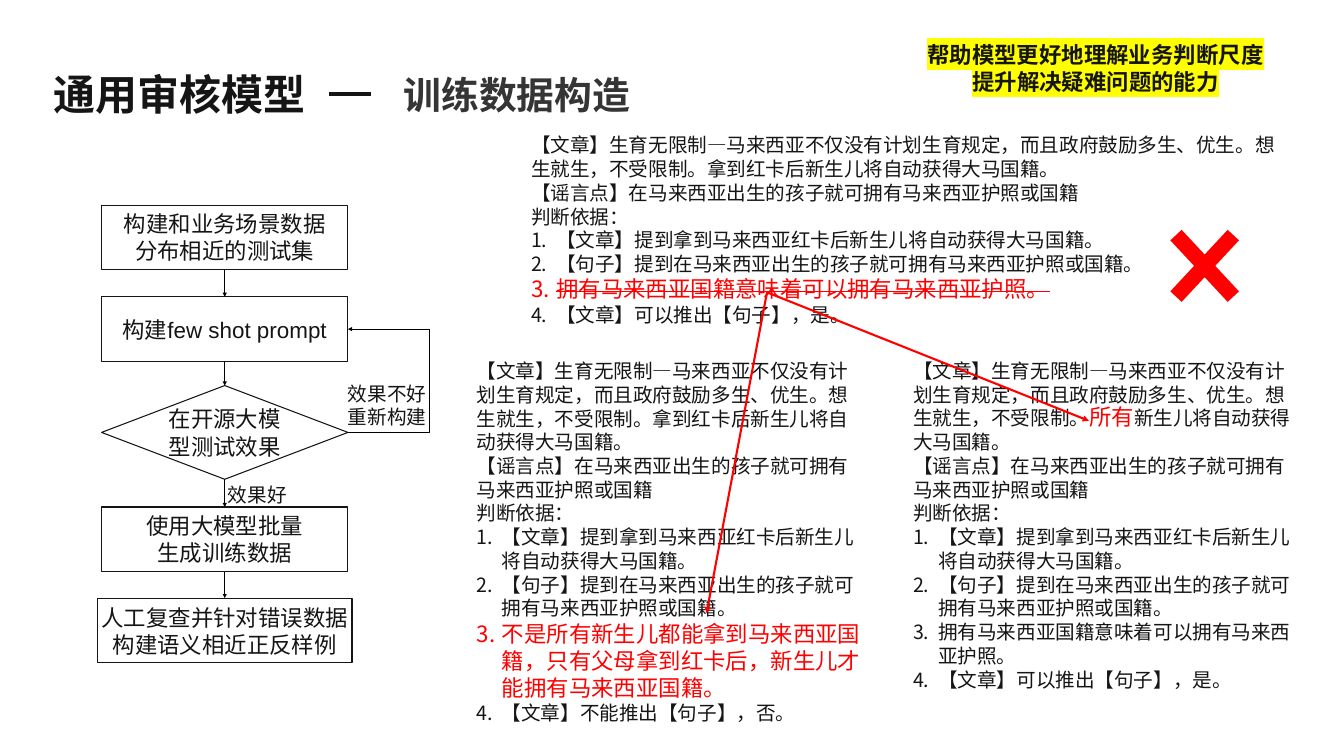
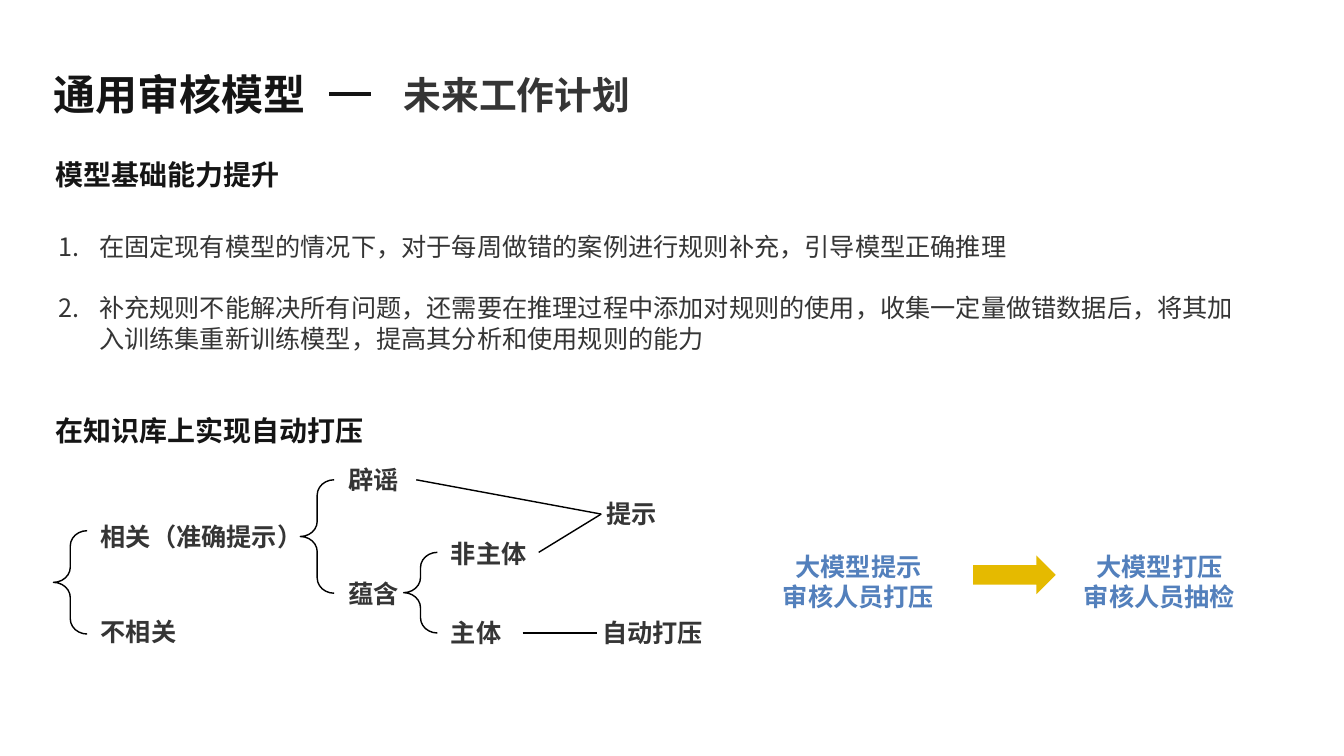
from lxml import etree
from pptx import Presentation
from pptx.dml.color import RGBColor
from pptx.enum import shapes as kinds, text as tx
from pptx.oxml.ns import qn
from pptx.util import Inches, Pt

INK = RGBColor(0x15, 0x15, 0x15)
GREY = RGBColor(0x35, 0x35, 0x35)
BLACK = RGBColor(0, 0, 0)
RED = RGBColor(0xFF, 0, 0)
BLUE = RGBColor(0x53, 0x80, 0xBC)
GOLD = RGBColor(0xE5, 0xBA, 0)
YELLOW = "FFFF00"
CJK_FONT = "Noto Sans CJK SC"
LEADING = 1.21

TITLE = dict(size=60, color=INK, bold=True, font="Arial")
SUBTITLE = dict(TITLE, size=54, color=GREY)
HEADING = dict(TITLE, size=40, font=CJK_FONT)
CALLOUT = dict(TITLE, size=32, highlight=YELLOW)
STEP = dict(size=32, color=INK, bold=False, font="Arial")
BRANCH_NOTE = dict(STEP, size=28)
ARTICLE = dict(BRANCH_NOTE, font="Roboto")
PLAN = dict(size=36, color=GREY, bold=False, font="Roboto")
NODE = dict(PLAN, bold=True)
STAGE = dict(NODE, color=BLUE)
CHANGED = dict(size=32, color=RED)
STRUCK = dict(CHANGED, strike=True)

TIGHT = dict.fromkeys(("left", "top", "right", "bottom"), 0.06)
CENTRED = dict(align=tx.PP_ALIGN.CENTER, anchor=tx.MSO_ANCHOR.MIDDLE, margins=TIGHT)

SECTION = "通用审核模型"
CLAIM = "【文章】生育无限制—马来西亚不仅没有计划生育规定，而且政府鼓励多生、优生。想生就生，不受限制。"
BIRTHRIGHT = "新生儿将自动获得大马国籍。"
RUMOUR = [("【谣言点】", dict(font="Arial")), "在马来西亚出生的孩子就可拥有马来西亚护照或国籍"]
FACTS = [
    "【文章】提到拿到马来西亚红卡后新生儿将自动获得大马国籍。",
    "【句子】提到在马来西亚出生的孩子就可拥有马来西亚护照或国籍。",
]
LEAP = "拥有马来西亚国籍意味着可以拥有马来西亚护照。"
CORRECTION = "不是所有新生儿都能拿到马来西亚国籍，只有父母拿到红卡后，新生儿才能拥有马来西亚国籍。"
FOLLOWS = "【文章】可以推出【句子】，是。"
FAILS = "【文章】不能推出【句子】，否。"
RED_CARD = [CLAIM + "拿到红卡后" + BIRTHRIGHT]

WRONG_ARTICLE = ((10.44, 2.59, 15.08, 3.94), RED_CARD, [(LEAP, STRUCK), FOLLOWS])
FIXED_ARTICLES = [
    ((9.36, 7.07, 7.83, 7.37), RED_CARD, [(CORRECTION, CHANGED), FAILS]),
    ((18.02, 7.07, 7.83, 6.77), [CLAIM, ("所有", CHANGED), BIRTHRIGHT], [LEAP, FOLLOWS]),
]
CROSS = (22.81, 4.1, 2.19, 2.35)
LEAP_POINT = (15.22, 5.8)
CHANGE_POINTS = [(14.02, 12.17), (21.61, 8.35)]

RECT, DIAMOND = kinds.MSO_SHAPE.RECTANGLE, kinds.MSO_SHAPE.DIAMOND
FLOW_CENTRE = 4.46
STEPS = [
    (RECT, 4.07, 4.89, 1.28, ["构建和业务场景数据", "分布相近的测试集"]),
    (RECT, 5.89, 4.89, 1.28, ["构建few shot prompt"]),
    (DIAMOND, 7.65, 4.89, 1.86, ["在开源大模型测试效果"]),
    (RECT, 10.06, 4.89, 1.28, ["使用大模型批量", "生成训练数据"]),
    (RECT, 11.87, 5.05, 1.28, ["人工复查并针对错误数据构建语义相近正反样例"]),
]
BRANCH_NOTES = [
    ((6.84, 7.51, 1.68, 1.05), ["效果不好", "重新构建"]),
    ((4.46, 9.52, 1.29, 0.58), ["效果好"]),
]
RETRY = dict(start=(6.91, 8.59), turn=(8.52, 6.53), back=(6.91, 6.53))

HEADINGS = [((1, 3.08, 5.24, 0.77), "模型基础能力提升"), ((1, 8.15, 6.91, 0.77), "在知识库上实现自动打压")]
PLANS = [
    "在固定现有模型的情况下，对于每周做错的案例进行规则补充，引导模型正确推理",
    "补充规则不能解决所有问题，还需要在推理过程中添加对规则的使用，收集一定量做错数据后，"
    "将其加入训练集重新训练模型，提高其分析和使用规则的能力",
]
NODES = [
    ("相关（准确提示）", 1.9, 10.28, 4.63),
    ("不相关", 1.9, 12.18, 4.22),
    ("辟谣", 6.82, 9.16, 1.44),
    ("蕴含", 6.82, 11.41, 1.44),
    ("非主体", 8.85, 10.63, 1.96),
    ("主体", 8.85, 12.2, 1.52),
    ("提示", 11.93, 9.84, 1.29),
    ("自动打压", 11.85, 12.2, 3.61),
]
NODE_HEIGHT = 0.71
BRACES = [(1.06, 10.53, 2.05), (5.96, 9.52, 2.25), (8.01, 10.96, 1.6)]
BRACE_WIDTH = 0.67
OUTCOMES = [
    ((8.26, 9.52), (11.93, 10.2)),
    ((10.69, 10.96), (11.93, 10.2)),
    ((10.37, 12.56), (11.85, 12.56)),
]
STAGES = [
    ((14.74, 10.58, 4.59, 1.62), ["大模型提示", "审核人员打压"]),
    ((19.74, 10.58, 6.54, 1.62), ["大模型打压", "审核人员抽检"]),
]
STAGE_ARROW = (19.31, 11.02, 1.64, 0.77)


def place(box):
    return [Inches(v) for v in box]


def add_run(paragraph, words, style):
    run = paragraph.add_run()
    run.text = words
    run.font.color.rgb = style["color"]
    props = run.font._element
    if "highlight" in style:
        mark = etree.SubElement(props, qn("a:highlight"))
        etree.SubElement(mark, qn("a:srgbClr")).set("val", style["highlight"])
    if style.get("strike"):
        props.set("strike", "sngStrike")
    for key, value in dict(size=Pt(style["size"]), bold=style["bold"], name=style["font"]).items():
        setattr(run.font, key, value)
    etree.SubElement(props, qn("a:ea")).set("typeface", CJK_FONT)


def write(shape, paragraphs, style, align=None, anchor=tx.MSO_ANCHOR.TOP, margins=None,
          wrap=True, numbered_from=None, indent=0.5, gap=0, first_spacing=1):
    frame = shape.text_frame
    frame.word_wrap = wrap
    frame.vertical_anchor = anchor
    for side, value in (margins or {}).items():
        setattr(frame, f"margin_{side}", Inches(value))
    for i, runs in enumerate(paragraphs):
        paragraph = frame.paragraphs[0] if i == 0 else frame.add_paragraph()
        runs = runs if isinstance(runs, list) else [runs]
        styled = [(r, style) if isinstance(r, str) else (r[0], {**style, **r[1]}) for r in runs]
        spacing = LEADING * (1 if i else first_spacing)
        paragraph.line_spacing = Pt(round(styled[0][1]["size"] * spacing, 1))
        if align is not None:
            paragraph.alignment = align
        if gap and i:
            paragraph.space_before = Pt(gap)
        if numbered_from is not None and i >= numbered_from:
            props = paragraph._p.get_or_add_pPr()
            props.set("marL", str(Inches(indent)))
            props.set("indent", str(-Inches(indent)))
            etree.SubElement(props, qn("a:buAutoNum")).set("type", "arabicPeriod")
        for words, run_style in styled:
            add_run(paragraph, words, run_style)


def add_text(shapes, box, paragraphs, style, **layout):
    write(shapes.add_textbox(*place(box)), paragraphs, style, **layout)


def add_shape(shapes, kind, box, fill=None, line=None, weight=1.5):
    shape = shapes.add_shape(kind, *place(box))
    shape.shadow.inherit = False
    if fill is None:
        shape.fill.background()
    else:
        shape.fill.solid()
        shape.fill.fore_color.rgb = fill
    if line is None:
        shape.line.fill.background()
    else:
        shape.line.color.rgb = line
        shape.line.width = Pt(weight)
    return shape


def add_line(shapes, start, end, color=BLACK, weight=1.5, arrow=False,
             kind=kinds.MSO_CONNECTOR.STRAIGHT):
    line = shapes.add_connector(kind, *place(start + end))
    line.line.color.rgb = color
    line.line.width = Pt(weight)
    if arrow:
        etree.SubElement(line.line._get_or_add_ln(), qn("a:tailEnd")).set("type", "triangle")
    etree.SubElement(line._element.spPr, qn("a:effectLst"))
    return line


def add_titled_slide(deck, subtitle):
    shapes = deck.slides.add_slide(deck.slide_layouts[6]).shapes
    add_text(shapes, (1, 1.38, 7.23, 0.94), [SECTION], TITLE,
             anchor=tx.MSO_ANCHOR.MIDDLE, margins=TIGHT)
    add_text(shapes, (7.91, 1.36, 8.57, 1.01), [subtitle], SUBTITLE)
    add_line(shapes, (6.53, 1.86), (7.37, 1.86), INK, 6)
    return shapes


def add_article(shapes, box, claim, verdict):
    add_text(shapes, box, [claim, RUMOUR, "判断依据："] + FACTS + verdict, ARTICLE, numbered_from=3)


def add_flow(shapes):
    steps = []
    for kind, top, width, height, words in STEPS:
        step = add_shape(shapes, kind, (FLOW_CENTRE - width / 2, top, width, height), line=INK)
        write(step, words, STEP, **CENTRED)
        steps.append(step)
    for upper, lower in zip(steps, steps[1:]):
        link = add_line(shapes, (FLOW_CENTRE, 0), (FLOW_CENTRE, 1), arrow=True)
        link.begin_connect(upper, 2)
        link.end_connect(lower, 0)
    bend = add_line(shapes, RETRY["start"], RETRY["turn"], kind=kinds.MSO_CONNECTOR.ELBOW)
    bend._element.spPr.find(qn("a:prstGeom")).set("prst", "bentConnector2")
    back = add_line(shapes, RETRY["turn"], RETRY["back"], arrow=True)
    back.end_connect(steps[1], 3)
    for box, words in BRANCH_NOTES:
        add_text(shapes, box, words, BRANCH_NOTE, wrap=False, **CENTRED)


def build_training_data(deck):
    shapes = add_titled_slide(deck, "训练数据构造")
    for article in FIXED_ARTICLES:
        add_article(shapes, *article)
    rejected = shapes.add_group_shape().shapes
    add_article(rejected, *WRONG_ARTICLE)
    cross = add_shape(rejected, kinds.MSO_SHAPE.MATH_MULTIPLY, CROSS, fill=RED)
    cross.adjustments[0] = 0.14
    add_text(shapes, (18.32, 0.76, 6.84, 1.19),
             ["帮助模型更好地理解业务判断尺度", "提升解决疑难问题的能力"], CALLOUT, wrap=False, **CENTRED)
    for point in CHANGE_POINTS:
        add_line(shapes, LEAP_POINT, point, RED, 3, arrow=True)
    add_flow(shapes)


def build_future_work(deck):
    shapes = add_titled_slide(deck, "未来工作计划")
    for box, words in HEADINGS:
        add_text(shapes, box, [words], HEADING)
    add_text(shapes, (1.06, 4.54, 23.64, 2.52), PLANS, PLAN,
             numbered_from=0, indent=0.81, gap=43.5)
    for left, top, height in BRACES:
        brace = add_shape(shapes, kinds.MSO_SHAPE.LEFT_BRACE, (left, top, BRACE_WIDTH, height),
                          line=BLACK, weight=2)
        brace.adjustments[0] = 0.45
    for words, left, top, width in NODES:
        add_text(shapes, (left, top, width, NODE_HEIGHT), [words], NODE)
    for start, end in OUTCOMES:
        add_line(shapes, start, end, weight=2)
    for box, words in STAGES:
        add_text(shapes, box, words, STAGE, align=tx.PP_ALIGN.CENTER, first_spacing=1.5)
    add_shape(shapes, kinds.MSO_SHAPE.RIGHT_ARROW, STAGE_ARROW, fill=GOLD)


def main():
    deck = Presentation()
    deck.slide_width, deck.slide_height = Inches(26.67), Inches(15)
    build_training_data(deck)
    build_future_work(deck)
    deck.save("out.pptx")


if __name__ == "__main__":
    main()
